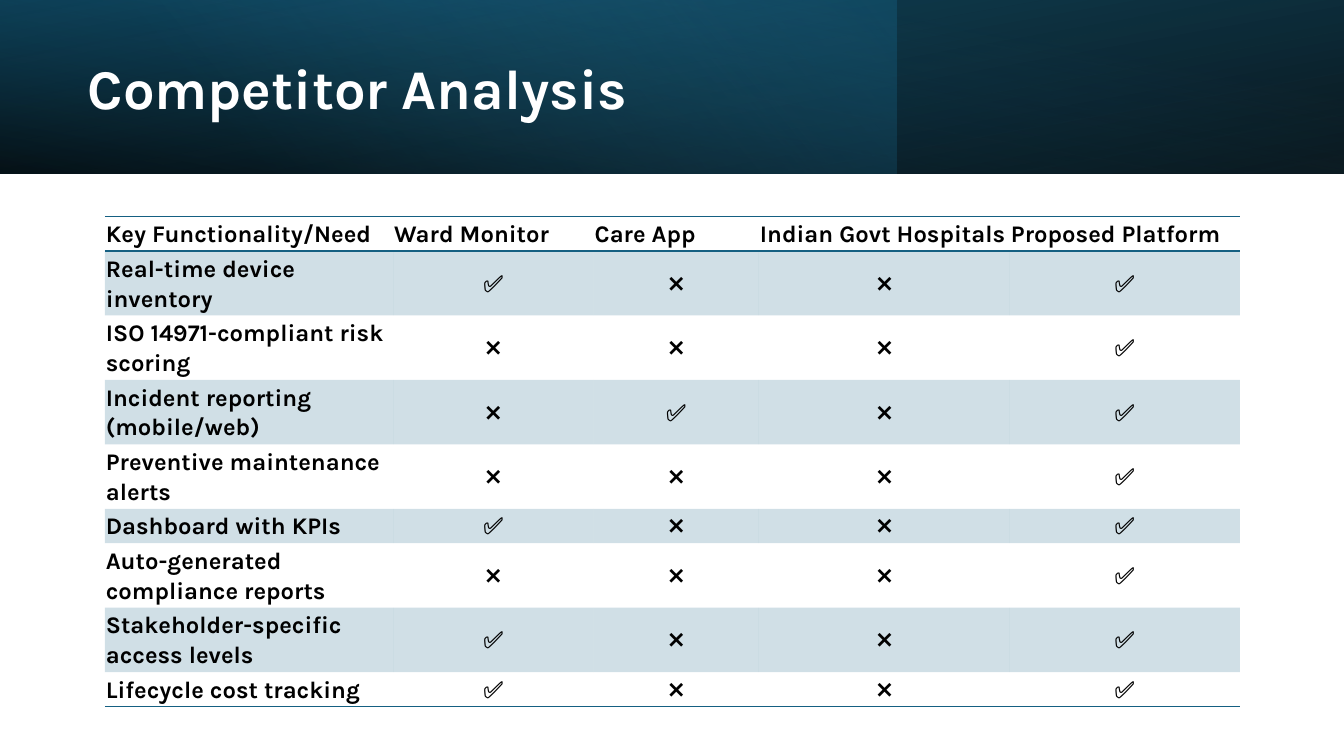
from lxml.etree import SubElement as sub_element
from pptx import Presentation
from pptx.dml.color import RGBColor
from pptx.enum.shapes import MSO_SHAPE as Shape
from pptx.enum.text import MSO_ANCHOR as Anchor, MSO_AUTO_SIZE as AutoSize, PP_ALIGN as Align
from pptx.oxml.ns import qn
from pptx.util import Inches, Pt

BLACK = RGBColor(0x00, 0x00, 0x00)
WHITE = RGBColor(0xFF, 0xFF, 0xFF)
DEEP_TEAL = RGBColor(0x10, 0x48, 0x62)
TEAL = RGBColor(0x15, 0x60, 0x82)
SKY = RGBColor(0x46, 0xB1, 0xE1)

UNIT = 0.1  # side of one grid square, in inches
COLUMNS, ROWS = 133.33, 75
BANNER_ROWS = 17.2
PLAIN_TABLE = "{2D5ABB26-0587-4C30-8999-92F81FD0307C}"

HEADINGS = ["Key Functionality/Need", "Ward Monitor", "Care App",
            "Indian Govt Hospitals", "Proposed Platform"]
HEADING_COLUMNS = [28.6, 19.9, 16.4, 24.9, 22.8]
# Need, marks per competitor, lines of text
NEEDS = [
    ("Real-time device inventory", "✅❌❌✅", 2),
    ("ISO 14971-compliant risk scoring", "❌❌❌✅", 2),
    ("Incident reporting (mobile/web)", "❌✅❌✅", 2),
    ("Preventive maintenance alerts", "❌❌❌✅", 2),
    ("Dashboard with KPIs", "✅❌❌✅", 1),
    ("Auto-generated compliance reports", "❌❌❌✅", 2),
    ("Stakeholder-specific access levels", "✅❌❌✅", 2),
    ("Lifecycle cost tracking", "✅❌❌✅", 1),
]


def grid(*squares):
    return [Inches(UNIT * count) for count in squares]


def apply(target, values):
    for name, value in values.items():
        setattr(target, name, value)


def set_alpha(element, *percents):
    for color, percent in zip(element.iter(qn("a:srgbClr")), percents):
        sub_element(color, qn("a:alpha"), val=str(percent * 1000))


class Deck:
    title_font = {"name": "Karla", "size": Pt(40), "bold": True}
    table_font = {"name": "Karla", "size": Pt(17)}
    table_paragraph = {"line_spacing": 1.07, "space_after": Pt(8)}
    cell_format = {"vertical_anchor": Anchor.MIDDLE,
                   **{f"margin_{side}": Inches(0.01)
                      for side in ("left", "right", "top", "bottom")}}

    def __init__(self):
        self.deck = Presentation()
        self.deck.slide_width, self.deck.slide_height = grid(COLUMNS, ROWS)
        self.slide = self.deck.slides.add_slide(self.deck.slide_layouts[5])

    def gradient(self, columns, stops, angle, rotation=0, flipped=False):
        band = self.slide.shapes.add_shape(
            Shape.RECTANGLE, *grid(0, 0, columns, BANNER_ROWS))
        band.shadow.inherit = False
        band.line.fill.background()
        band.rotation = rotation
        if flipped:
            band.element.spPr.find(qn("a:xfrm")).set("flipH", "1")
        band.fill.gradient()
        band.fill.gradient_angle = 360 - angle
        for stop, (position, color, _) in zip(band.fill.gradient_stops, stops):
            stop.position = position
            stop.color.rgb = color
        set_alpha(band.element.spPr, *(alpha for _, _, alpha in stops))

    def title(self, wording, *box):
        title = self.slide.shapes.title
        apply(title, dict(zip(("left", "top", "width", "height"), grid(*box))))
        frame = title.text_frame
        frame.text = wording
        apply(frame, {"word_wrap": True, "auto_size": AutoSize.NONE,
                      "vertical_anchor": Anchor.MIDDLE})
        heading = frame.paragraphs[0]
        apply(heading, {"alignment": Align.LEFT, "line_spacing": 0.9})
        apply(heading.font, self.title_font)
        heading.font.color.rgb = WHITE
        # Bring the title in front of the banner
        title.element.getparent().append(title.element)

    def rule(self, cell, edge):
        line = sub_element(cell._tc.get_or_add_tcPr(), qn(f"a:{edge}"), w=str(Pt(1)))
        fill = sub_element(line, qn("a:solidFill"))
        sub_element(fill, qn("a:srgbClr"), val=str(TEAL))

    def cell(self, cell, wording, is_mark, edges, shaded):
        apply(cell, self.cell_format)
        cell.text = wording
        entry = cell.text_frame.paragraphs[0]
        apply(entry, self.table_paragraph)
        entry.alignment = Align.CENTER if is_mark else Align.LEFT
        apply(entry.font, {**self.table_font, "bold": not is_mark})
        entry.font.color.rgb = BLACK
        for edge in edges:
            self.rule(cell, edge)
        if shaded:
            cell.fill.solid()
            cell.fill.fore_color.rgb = TEAL
            set_alpha(cell._tc.tcPr.find(qn("a:solidFill")), 20)
        else:
            cell.fill.background()

    def comparison(self, left, top, headings, widths, needs):
        entries = [headings] + [[need, *marks] for need, marks, _ in needs]
        heights = [0.4 + 3 * lines for lines in [1] + [need[2] for need in needs]]
        frame = self.slide.shapes.add_table(
            len(entries), len(headings), *grid(left, top, sum(widths), sum(heights)))
        table = frame.table
        apply(table, {"first_row": False, "horz_banding": False})
        table._tbl.tblPr.find(qn("a:tableStyleId")).text = PLAIN_TABLE
        for column, width in zip(table.columns, grid(*widths)):
            column.width = width
        for row, height in zip(table.rows, grid(*heights)):
            row.height = height
        edges = {0: ("lnT", "lnB"), len(needs): ("lnB",)}
        for r, entry in enumerate(entries):
            for c, wording in enumerate(entry):
                self.cell(table.cell(r, c), wording, r > 0 and c > 0,
                          edges.get(r, ()), r % 2 == 1)


def main():
    page = Deck()

    # Banner: three layered gradients
    page.gradient(COLUMNS, [(0, BLACK, 96), (1, DEEP_TEAL, 100)], 100,
                  rotation=180, flipped=True)
    page.gradient(COLUMNS * 2 / 3, [(0, TEAL, 41), (0.74, SKY, 0)], 140)
    page.gradient(COLUMNS, [(0, BLACK, 63), (0.78, TEAL, 15)], 260, flipped=True)

    # Title
    page.title("Competitor Analysis", 7.7, 2.7, 77.2, 12.7)

    # Comparison table
    page.comparison(10.4, 21.5, HEADINGS, HEADING_COLUMNS, NEEDS)

    page.deck.save("out.pptx")


if __name__ == "__main__":
    main()
